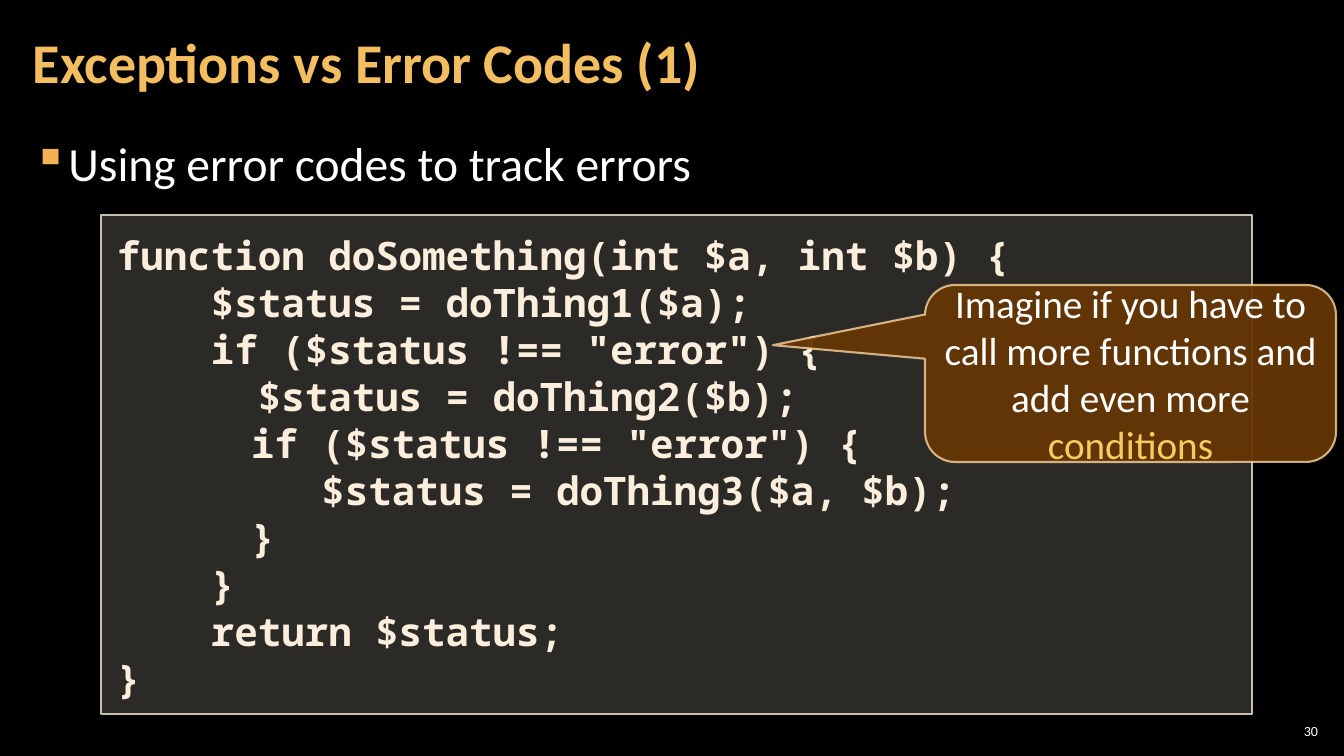
from lxml.etree import SubElement
from pptx import Presentation
from pptx.dml.color import RGBColor
from pptx.enum.shapes import MSO_SHAPE
from pptx.enum.text import MSO_ANCHOR, PP_ALIGN
from pptx.oxml.ns import qn
from pptx.util import Emu, Pt

EMU_PER_PX = 914400 / 100.8

CODE = """function doSomething(int $a, int $b) {
    $status = doThing1($a);
    if ($status !== "error") {
      $status = doThing2($b);
\tif ($status !== "error") {
\t   $status = doThing3($a, $b);
\t}
    }
    return $status;
}"""


def px(length):
    return Emu(round(length * EMU_PER_PX))


def rgb(color):
    return RGBColor.from_string(color)


def apply(target, values):
    for name, value in values.items():
        setattr(target, name, value)


class SlideBuilder:
    body_font = "Calibri"
    code_font = "Noto Sans Mono"
    white = "FFFFFF"

    def __init__(self, deck):
        self.slide = deck.slides.add_slide(deck.slide_layouts[6])

    def background(self, color):
        fill = self.slide.background.fill
        fill.solid()
        fill.fore_color.rgb = rgb(color)

    def frame(self, shape, insets, anchor):
        left, top, right, bottom = map(px, insets)
        apply(shape.text_frame, dict(
            word_wrap=True, vertical_anchor=anchor, margin_left=left,
            margin_top=top, margin_right=right, margin_bottom=bottom))
        return shape.text_frame

    def add_words(self, paragraph, text, color, size, font=body_font, bold=False):
        run = paragraph.add_run()
        run.text = text
        apply(run.font, dict(name=font, size=Pt(size), bold=bold))
        run.font.color.rgb = rgb(color)

    def text(self, box, text, color, size, insets=(12, 4, 12, 4),
             anchor=MSO_ANCHOR.MIDDLE, bold=False, bullet=None, **layout):
        shape = self.slide.shapes.add_textbox(*map(px, box))
        paragraph = self.frame(shape, insets, anchor).paragraphs[0]
        if bullet:
            self.bullet(paragraph, *bullet)
        apply(paragraph, layout)
        self.add_words(paragraph, text, color, size, bold=bold)

    def bullet(self, paragraph, symbol, color, indent):
        properties = paragraph._p.get_or_add_pPr()
        properties.set("marL", str(px(indent)))
        properties.set("indent", str(-px(indent)))
        SubElement(SubElement(properties, qn("a:buClr")), qn("a:srgbClr"), val=color)
        SubElement(properties, qn("a:buChar"), char=symbol)

    def panel(self, kind, box, fill, opacity, outline, width, outline_opacity=100):
        shape = self.slide.shapes.add_shape(kind, *map(px, box))
        shape.shadow.inherit = False
        shape.fill.solid()
        shape.fill.fore_color.rgb = rgb(fill)
        shape.line.color.rgb = rgb(outline)
        shape.line.width = Pt(width)
        colors = shape._element.spPr.iter(qn("a:srgbClr"))
        for color, percent in zip(colors, (opacity, outline_opacity)):
            SubElement(color, qn("a:alpha"), val=str(percent * 1000))
        return shape

    def code(self, box, listing, color, size, tab):
        panel = self.panel(MSO_SHAPE.RECTANGLE, box, "D9D5C7", 20, "C7BFAC", 1)
        frame = self.frame(panel, (16, 16, 16, 8), MSO_ANCHOR.TOP)
        for index, line in enumerate(listing.split("\n")):
            paragraph = frame.add_paragraph() if index else frame.paragraphs[0]
            tabs = SubElement(paragraph._p.get_or_add_pPr(), qn("a:tabLst"))
            SubElement(tabs, qn("a:tab"), pos=str(px(tab)), algn="l")
            apply(paragraph, dict(alignment=PP_ALIGN.LEFT, line_spacing=Pt(33.6)))
            self.add_words(paragraph, line, color, size, self.code_font, True)

    def callout(self, box, pointer, parts, size):
        bubble = self.panel(MSO_SHAPE.ROUNDED_RECTANGULAR_CALLOUT, box,
                            "663606", 95, "F8D49E", 1.5, 80)
        for index, value in enumerate(pointer):
            bubble.adjustments[index] = value
        frame = self.frame(bubble, (10, 5, 10, 5), MSO_ANCHOR.MIDDLE)
        paragraph = frame.paragraphs[0]
        paragraph.alignment = PP_ALIGN.CENTER
        for text, color in parts:
            self.add_words(paragraph, text, color, size)


def main():
    deck = Presentation()
    apply(deck, dict(slide_width=px(1344), slide_height=px(756)))
    page = SlideBuilder(deck)
    page.background("000000")
    page.text((1275, 720, 47, 21), "30", page.white, 10,
              insets=(4, 4, 4, 4), alignment=PP_ALIGN.RIGHT)
    page.text((21, 127, 1301, 614), "Using error codes to track errors",
              page.white, 34, anchor=MSO_ANCHOR.TOP, bullet=("▪", "F2B254", 33),
              line_spacing=1.05, space_after=Pt(6))
    page.text((21, 4, 1055, 122), "Exceptions vs Error Codes (1)",
              "F3BE60", 40, bold=True, line_spacing=0.9)
    page.code((101, 215, 1151, 499), CODE, "FBEEDC", 28, tab=134)
    page.callout((925, 285, 411, 177), (-0.87, -0.16, 0.17),
                 (("Imagine if you have to call more functions and add even more ", page.white),
                  ("conditions", "F3CD60")), 28)
    deck.save("out.pptx")


if __name__ == "__main__":
    main()
